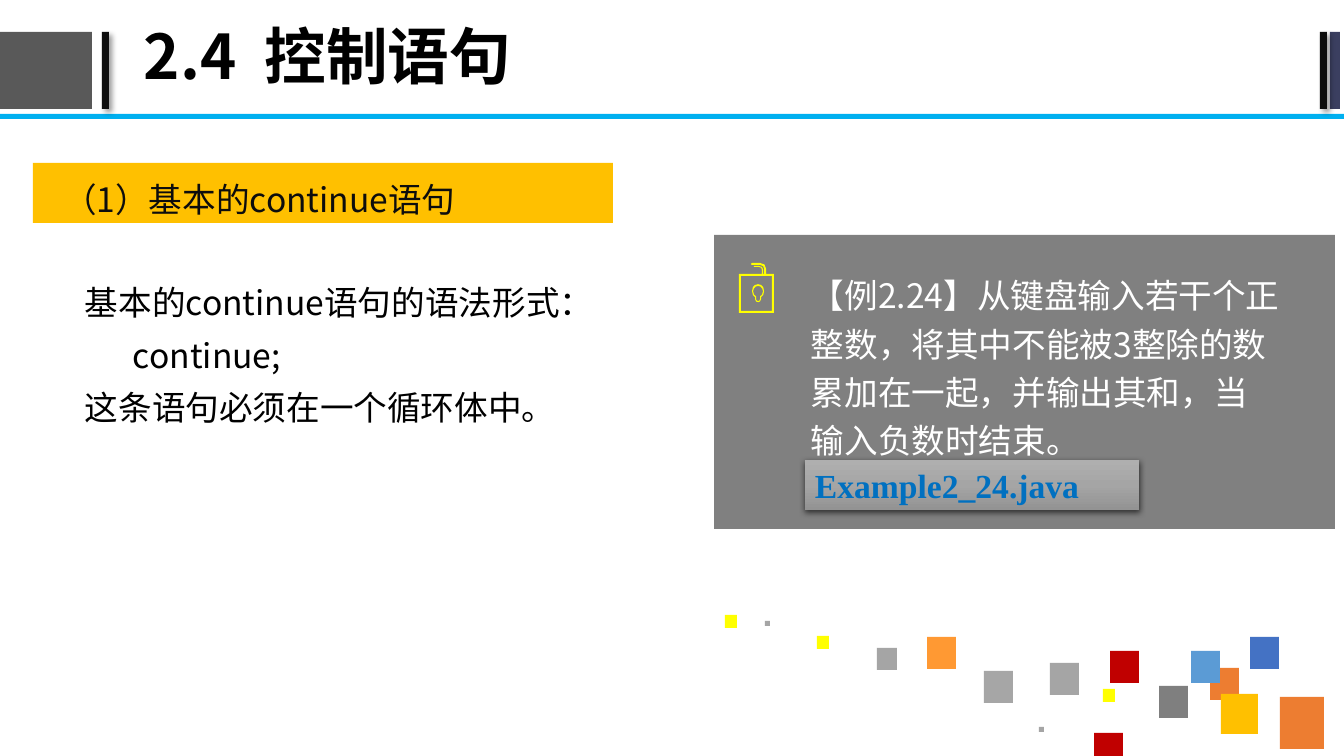
from lxml.etree import SubElement
from pptx import Presentation
from pptx.dml.color import RGBColor
from pptx.enum.shapes import MSO_SHAPE
from pptx.enum.text import MSO_ANCHOR
from pptx.oxml.ns import qn
from pptx.util import Pt

PX = 9071  # EMU per px, 100.8 px to the inch
CJK, SERIF = "Noto Sans CJK SC", "Times New Roman"

COLORS = {
    "black": "000000", "ink": "0D0D0D", "white": "FFFFFF", "slate": "595959",
    "navy": "3B3F60", "sky": "00B0F0", "amber": "FFC000", "panel": "808080",
    "yellow": "FFFF00", "orange": "ED7D31", "tangerine": "FF9933",
    "blue": "5B9BD5", "royal": "4472C4", "red": "C00000", "gray": "A5A5A5",
    "silver": "A6A6A6", "iron": "7F7F7F", "link": "0070C0",
}

# Content
TITLE = "2.4  控制语句"
HEADING = "（1）基本的continue语句"
SYNTAX = [  # text, first-line indent
    ("基本的continue语句的语法形式：", 80),
    ("continue;", 128),
    ("这条语句必须在一个循环体中。", 80),
]
EXAMPLE = ("【例2.24】从键盘输入若干个正整数，将其中不能被3整除的数累加在一起，"
           "并输出其和，当输入负数时结束。")
SOURCE_FILE = "Example2_24.java"

# Rectangles: left, top, width, height, colour
HEADER_BARS = [(-2, 32, 94, 77, "slate"), (1330, 32, 10, 77, "navy"),
               (0, 114, 1344, 5, "sky")]
SHADOWED_BARS = [(102, 32, 7, 77, "ink"), (1320, 32, 7, 77, "ink")]
PANELS = [(33, 163, 580, 60, "amber"), (714, 235, 621, 294, "panel")]

# Confetti: size name, then left, top, colour from back to front
SIZES = {"dot": (5, 5), "small": (12, 13), "medium": (20, 22),
         "large": (29, 32), "wide": (37, 40), "huge": (44, 52)}
CONFETTI = [
    ("huge", 1280, 697, "orange"), ("large", 1210, 668, "orange"),
    ("wide", 1221, 694, "amber"), ("large", 1191, 651, "blue"),
    ("dot", 1039, 727, "gray"), ("large", 1250, 637, "royal"),
    ("small", 1103, 689, "yellow"), ("large", 1050, 663, "gray"),
    ("large", 1110, 651, "red"), ("large", 1159, 686, "iron"),
    ("large", 1094, 733, "red"), ("dot", 765, 621, "gray"),
    ("small", 817, 636, "yellow"), ("medium", 877, 648, "gray"),
    ("large", 927, 637, "tangerine"), ("large", 984, 671, "silver"),
    ("small", 725, 615, "yellow"),
]

# Padlock icon, in tenths of a px from its corner
LOCK_AT = (739, 263)
LOCK_OUTER = [(0, 110), (230, 110), (230, 70), (222, 48), (200, 40), (150, 40),
              (150, 30), (200, 30), (230, 40), (242, 65), (242, 110), (252, 110),
              (252, 60), (242, 32), (212, 20), (130, 20), (120, 10), (130, 0),
              (212, 0), (255, 15), (272, 60), (272, 110), (350, 110),
              (350, 500), (0, 500)]
LOCK_INNER = [(20, 130), (20, 480), (330, 480), (330, 130)]
KEYHOLE_AXIS, KEYHOLE_TOP = 191, 212
KEYHOLE_OUTER = [(0, 0), (30, 8), (52, 30), (60, 70), (52, 108), (30, 130),
                 (30, 150), (20, 173), (0, 181)]
KEYHOLE_INNER = [(0, 18), (24, 24), (42, 45), (50, 70), (40, 105), (20, 122),
                 (20, 150), (14, 163), (0, 170)]

presentation = Presentation()
presentation.slide_width, presentation.slide_height = 1344 * PX, 756 * PX
slide = presentation.slides.add_slide(presentation.slide_layouts[6])


def rgb(color):
    return RGBColor.from_string(COLORS[color])


def paint(shape, color):
    shape.shadow.inherit = False
    shape.fill.solid()
    shape.fill.fore_color.rgb = rgb(color)
    shape.line.fill.background()
    return shape


def add_rect(left, top, width, height, color):
    box = [v * PX for v in (left, top, width, height)]
    return paint(slide.shapes.add_shape(MSO_SHAPE.RECTANGLE, *box), color)


def cast_shadow(shape, alpha, blur, distance, angle):
    effects = shape._element.spPr.find(qn("a:effectLst"))
    shadow = SubElement(effects, qn("a:outerShdw"), blurRad=str(Pt(blur)),
                        dist=str(Pt(distance)), dir=str(angle * 60000),
                        algn="ctr", rotWithShape="0")
    tone = SubElement(shadow, qn("a:srgbClr"), val=COLORS["black"])
    SubElement(tone, qn("a:alpha"), val=str(alpha * 1000))


def style(paragraph, size, color, font=CJK, bold=False, spacing=1.0):
    paragraph.line_spacing = spacing
    for run in paragraph.runs:
        run.font.size, run.font.bold = Pt(size), bold
        run.font.name = font
        run.font.color.rgb = rgb(color)
        SubElement(run.font._element, qn("a:ea"), typeface=font)


def add_text(left, top, width, height, lines, size, color, margins=(13, 7),
             anchor=MSO_ANCHOR.TOP, **look):
    box = [v * PX for v in (left, top, width, height)]
    frame = slide.shapes.add_textbox(*box).text_frame
    frame.word_wrap, frame.vertical_anchor = True, anchor
    frame.margin_left = frame.margin_right = margins[0] * PX
    frame.margin_top = frame.margin_bottom = margins[1] * PX
    frame.text = "\n".join(text for text, indent in lines)
    for paragraph, (text, indent) in zip(frame.paragraphs, lines):
        paragraph._p.get_or_add_pPr().set("indent", str(indent * PX))
        style(paragraph, size, color, **look)


def add_outline(outer, inner, color):
    builder = slide.shapes.build_freeform(*outer[0], scale=PX / 10)
    builder.add_line_segments(outer[1:], close=True)
    builder.move_to(*inner[0])
    builder.add_line_segments(inner[1:], close=True)
    paint(builder.convert_to_shape(*(v * PX for v in LOCK_AT)), color)


def mirrored(half):
    points = half + [(-x, y) for x, y in half[-2:0:-1]]
    return [(KEYHOLE_AXIS + x, KEYHOLE_TOP + y) for x, y in points]


# Header
for bar in HEADER_BARS:
    add_rect(*bar)
for bar in SHADOWED_BARS:
    cast_shadow(add_rect(*bar), 40, 4, 3, 45)
add_text(134, 0, 1134, 119, [(TITLE, 0)], 44, "black", margins=(10, 5),
         anchor=MSO_ANCHOR.MIDDLE, bold=True, spacing=0.9)

# Heading, syntax and example
for panel in PANELS:
    add_rect(*panel)
add_text(50, 164, 479, 58, [(HEADING, 0)], 24, "ink", spacing=1.2)
add_text(-8, 263, 638, 342, SYNTAX, 24, "black", spacing=1.3)
add_text(798, 260, 496, 103, [(EXAMPLE, 0)], 24, "white", spacing=1.2)

# Padlock
add_outline(LOCK_OUTER, LOCK_INNER, "yellow")
add_outline(mirrored(KEYHOLE_OUTER), mirrored(KEYHOLE_INNER), "yellow")

# Confetti
for size, left, top, color in CONFETTI:
    add_rect(left, top, *SIZES[size], color)

# Source file button
button = add_rect(805, 460, 334, 50, "gray")
button.fill.gradient()
button.fill.gradient_angle = 270
stops = button._element.spPr.find(qn("a:gradFill")).find(qn("a:gsLst"))
stops.clear()
for position, shade in ((0, "AFAFAF"), (50, "A5A5A5"), (100, "939393")):
    stop = SubElement(stops, qn("a:gs"), pos=str(position * 1000))
    SubElement(stop, qn("a:srgbClr"), val=shade)
cast_shadow(button, 63, 4.5, 1.5, 90)
button.text_frame.text = SOURCE_FILE
button.text_frame.vertical_anchor = MSO_ANCHOR.TOP
label = button.text_frame.paragraphs[0]
label.alignment = 1  # left
style(label, 24, "link", font=SERIF, bold=True)

presentation.save("out.pptx")
